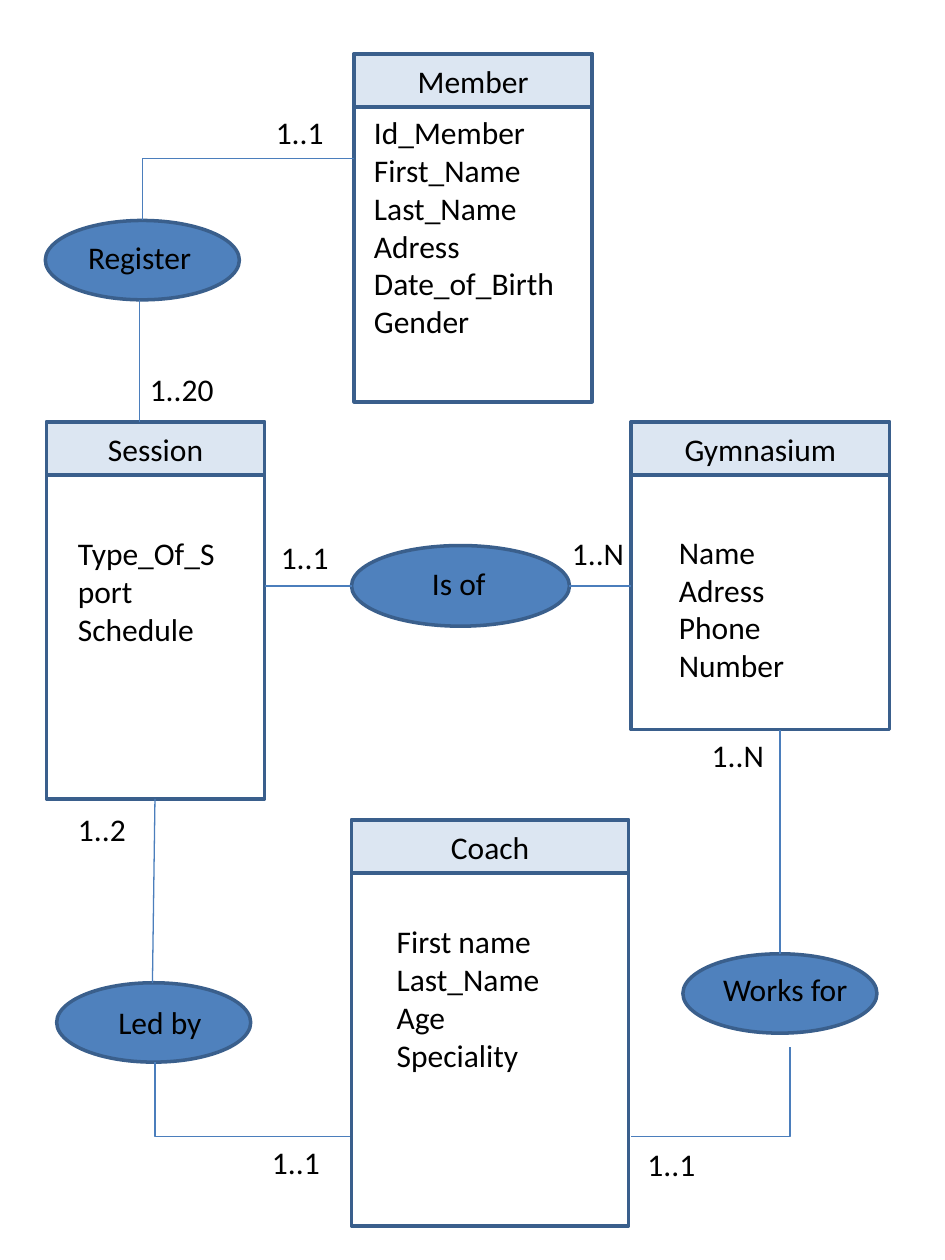
from dataclasses import dataclass

from lxml import etree
from pptx import Presentation
from pptx.dml.color import RGBColor
from pptx.enum.shapes import MSO_CONNECTOR as CONN, MSO_SHAPE as SHAPE
from pptx.enum.text import MSO_ANCHOR, MSO_AUTO_SIZE, PP_ALIGN
from pptx.oxml.ns import qn
from pptx.util import Inches, Pt

BLUE = RGBColor(0x4F, 0x81, 0xBD)
OUTLINE = RGBColor(0x3A, 0x5F, 0x8C)
LINK = RGBColor(0x4B, 0x7E, 0xBC)
HEADER = RGBColor(0xDC, 0xE6, 0xF2)
BLACK = RGBColor(0, 0, 0)
HEADER_H = 0.42
LINE_H = 0.3


@dataclass
class Label:
    text: str
    x: float
    y: float
    w: float = 0.62


@dataclass
class Entity:
    name: str
    x: float
    y: float
    w: float
    h: float
    fields: Label


@dataclass
class Relation:
    x: float
    y: float
    caption: Label
    w: float = 1.54
    h: float = 0.63


@dataclass
class Link:
    x1: float
    y1: float
    x2: float
    y2: float
    bent: bool = False


ENTITIES = [
    Entity("Member", 2.81, 0.43, 1.89, 2.76, Label(
        "Id_Member\nFirst_Name\nLast_Name\nAdress\nDate_of_Birth\nGender", 2.87, 0.85, 1.8)),
    Entity("Session", 0.37, 3.35, 1.73, 2.99, Label("Type_Of_Sport\nSchedule", 0.52, 4.19, 1.34)),
    Entity("Gymnasium", 5.01, 3.35, 2.05, 2.44, Label(
        "Name\nAdress\nPhone\nNumber", 5.29, 4.18, 1.5)),
    Entity("Coach", 2.79, 6.51, 2.2, 3.22, Label(
        "First name\nLast_Name\nAge\nSpeciality", 3.05, 7.27, 1.65)),
]
RELATIONS = [
    Relation(0.36, 1.75, Label("Register", 0.6, 1.84, 1.02)),
    Relation(2.79, 4.33, Label("Is of", 3.33, 4.43, 0.65), 1.73, 0.64),
    Relation(0.45, 7.8, Label("Led by", 0.84, 7.91, 1.42)),
    Relation(5.42, 7.57, Label("Works for", 5.64, 7.65, 1.42)),
]
LINKS = [
    Link(1.13, 1.75, 2.81, 1.26, bent=True),
    Link(1.11, 3.35, 1.11, 2.38),
    Link(2.1, 4.65, 2.79, 4.65),
    Link(4.52, 4.65, 5.01, 4.65),
    Link(1.23, 6.34, 1.21, 7.8),
    Link(1.23, 8.43, 2.78, 9.02, bent=True),
    Link(6.19, 5.79, 6.19, 7.57),
    Link(6.27, 8.31, 5.01, 9.02, bent=True),
]
CARDINALITIES = [
    Label("1..1", 2.09, 0.85), Label("1..20", 1.09, 2.89, 0.75),
    Label("1..1", 2.13, 4.22), Label("1..N", 4.44, 4.19),
    Label("1..2", 0.52, 6.38), Label("1..1", 2.06, 9.02),
    Label("1..N", 5.55, 5.79), Label("1..1", 5.04, 9.04),
]

prs = Presentation()
prs.slide_width, prs.slide_height = Inches(7.5), Inches(10)
s = prs.slides.add_slide(prs.slide_layouts[6])


def set_text(tf, text: str, align=PP_ALIGN.LEFT) -> None:
    tf.word_wrap = True
    tf.text = text
    for p in tf.paragraphs:
        p.alignment = align
        p.font.name, p.font.size = "Calibri", Pt(18)
        p.font.color.rgb = BLACK


def add_label(label: Label) -> None:
    height = 0.1 + LINE_H * len(label.text.split("\n"))
    tf = s.shapes.add_textbox(
        Inches(label.x), Inches(label.y), Inches(label.w), Inches(height)).text_frame
    set_text(tf, label.text)
    tf.auto_size = MSO_AUTO_SIZE.SHAPE_TO_FIT_TEXT


def add_outlined(kind: SHAPE, x: float, y: float, w: float, h: float,
                 fill: RGBColor | None = None):
    sp = s.shapes.add_shape(kind, Inches(x), Inches(y), Inches(w), Inches(h))
    sp.shadow.inherit = False
    if fill is None:
        sp.fill.background()
    else:
        sp.fill.solid()
        sp.fill.fore_color.rgb = fill
    sp.line.color.rgb, sp.line.width = OUTLINE, Pt(2)
    return sp


def add_entity(e: Entity) -> None:
    add_outlined(SHAPE.RECTANGLE, e.x, e.y, e.w, e.h)
    header = add_outlined(SHAPE.RECTANGLE, e.x, e.y, e.w, HEADER_H, HEADER)
    set_text(header.text_frame, e.name, PP_ALIGN.CENTER)
    header.text_frame.vertical_anchor = MSO_ANCHOR.MIDDLE
    add_label(e.fields)


def add_link(k: Link) -> None:
    c = s.shapes.add_connector(CONN.ELBOW if k.bent else CONN.STRAIGHT,
                               Inches(k.x1), Inches(k.y1), Inches(k.x2), Inches(k.y2))
    c.line.color.rgb, c.line.width = LINK, Pt(0.75)
    sp_pr = c._element.spPr
    etree.SubElement(sp_pr, qn("a:effectLst"))
    if k.bent:  # bend at the start: vertical first, then horizontal
        guides = sp_pr.find(qn("a:prstGeom")).find(qn("a:avLst"))
        etree.SubElement(guides, qn("a:gd"), name="adj1", fmla="val 0")


# Entities
for entity in ENTITIES:
    add_entity(entity)

# Relations
for rel in RELATIONS:
    add_outlined(SHAPE.OVAL, rel.x, rel.y, rel.w, rel.h, BLUE)
    add_label(rel.caption)

# Links and their cardinalities
for link in LINKS:
    add_link(link)
for cardinality in CARDINALITIES:
    add_label(cardinality)

prs.save("out.pptx")
